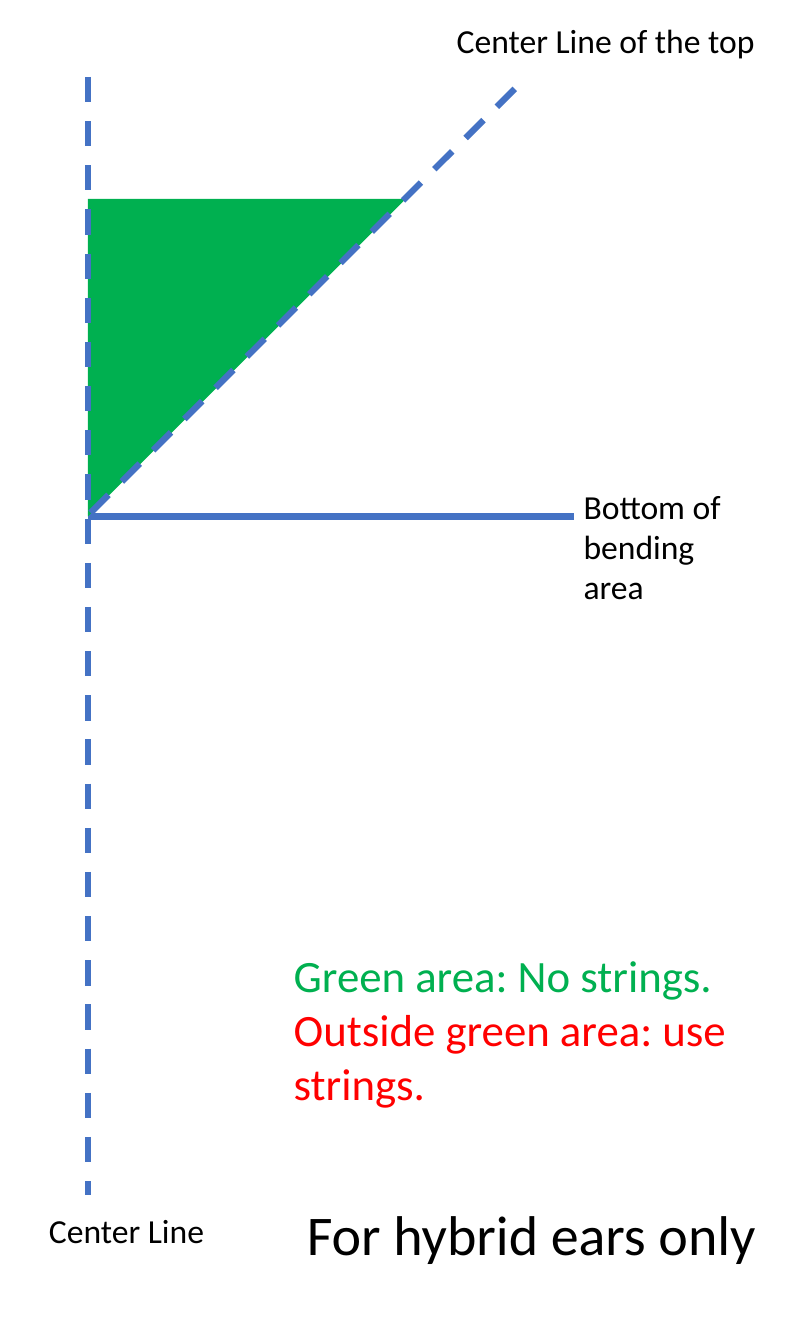
import dataclasses
import typing

import lxml.etree
import pptx
import pptx.dml.color
import pptx.enum.dml
import pptx.enum.shapes
import pptx.enum.text
import pptx.oxml.ns
import pptx.util

SCALE = 914400 / 100.9


@dataclasses.dataclass(frozen=True)
class Theme:
    font: str = "Calibri"
    ink: str = "000000"
    blue: str = "4472C4"
    green: str = "00B050"
    red: str = "FF0000"
    label: int = 24
    body: int = 32
    title: int = 40
    stroke: float = 4.5


class Line(typing.NamedTuple):
    start: tuple[int, int]
    end: tuple[int, int]
    dash: bool


class Label(typing.NamedTuple):
    box: tuple[int, int, int, int]
    size: int
    lines: list[tuple[str, str]]


THEME = Theme()


def emu(*pixels: int) -> list[int]:
    return [round(pixel * SCALE) for pixel in pixels]


def color(code: str) -> pptx.dml.color.RGBColor:
    return pptx.dml.color.RGBColor.from_string(code)


def write(para, text: str, *, size: int, ink: str) -> None:
    run = para.add_run()
    run.text = text
    run.font.name = THEME.font
    run.font.size = pptx.util.Pt(size)
    run.font.color.rgb = color(ink)


def draw_label(slide, label: Label) -> None:
    frame = slide.shapes.add_textbox(*emu(*label.box)).text_frame
    frame.word_wrap = True
    frame.auto_size = pptx.enum.text.MSO_AUTO_SIZE.SHAPE_TO_FIT_TEXT
    for index, (text, ink) in enumerate(label.lines):
        para = frame.add_paragraph() if index else frame.paragraphs[0]
        write(para, text, size=label.size, ink=ink)


def draw_line(slide, line: Line) -> None:
    kind = pptx.enum.shapes.MSO_CONNECTOR.STRAIGHT
    shape = slide.shapes.add_connector(kind, *emu(*line.start, *line.end))
    shape.line.color.rgb = color(THEME.blue)
    shape.line.width = pptx.util.Pt(THEME.stroke)
    if line.dash:
        shape.line.dash_style = pptx.enum.dml.MSO_LINE.DASH
    props = shape.element.find(pptx.oxml.ns.qn("p:spPr"))
    lxml.etree.SubElement(props, pptx.oxml.ns.qn("a:effectLst"))


def draw_area(slide, left: int, top: int, side: int) -> None:
    kind = pptx.enum.shapes.MSO_SHAPE.RIGHT_TRIANGLE
    shape = slide.shapes.add_shape(kind, *emu(left, top, side, side))
    shape.rotation = 90
    shape.shadow.inherit = False
    shape.fill.solid()
    shape.fill.fore_color.rgb = color(THEME.green)
    shape.line.fill.background()


AXIS, BEND, SIDE = 88, 517, 318

BOTTOM = Line((AXIS, BEND), (574, BEND), False)
CENTERS = [
    Line((AXIS, 77), (AXIS, 1196), True),
    Line((515, 89), (78, 526), True),
]
NAMES = [
    Label((39, 1206, 396, 50), THEME.label, [("Center Line", THEME.ink)]),
    Label((447, 15, 396, 50), THEME.label, [("Center Line of the top", THEME.ink)]),
    Label((574, 481, 194, 132), THEME.label, [("Bottom of bending area", THEME.ink)]),
]
NOTES = [
    Label((284, 944, 511, 174), THEME.body, [
        ("Green area: No strings.", THEME.green),
        ("Outside green area: use strings.", THEME.red),
    ]),
    Label((297, 1196, 471, 78), THEME.title, [("For hybrid ears only", THEME.ink)]),
]


def main() -> None:
    deck = pptx.Presentation()
    deck.slide_width = pptx.util.Cm(20)
    deck.slide_height = pptx.util.Pt(960)
    slide = deck.slides.add_slide(deck.slide_layouts[6])
    draw_line(slide, BOTTOM)
    for name in NAMES:
        draw_label(slide, name)
    draw_area(slide, AXIS, BEND - SIDE, SIDE)
    for line in CENTERS:
        draw_line(slide, line)
    for note in NOTES:
        draw_label(slide, note)
    deck.save("out.pptx")


main()
